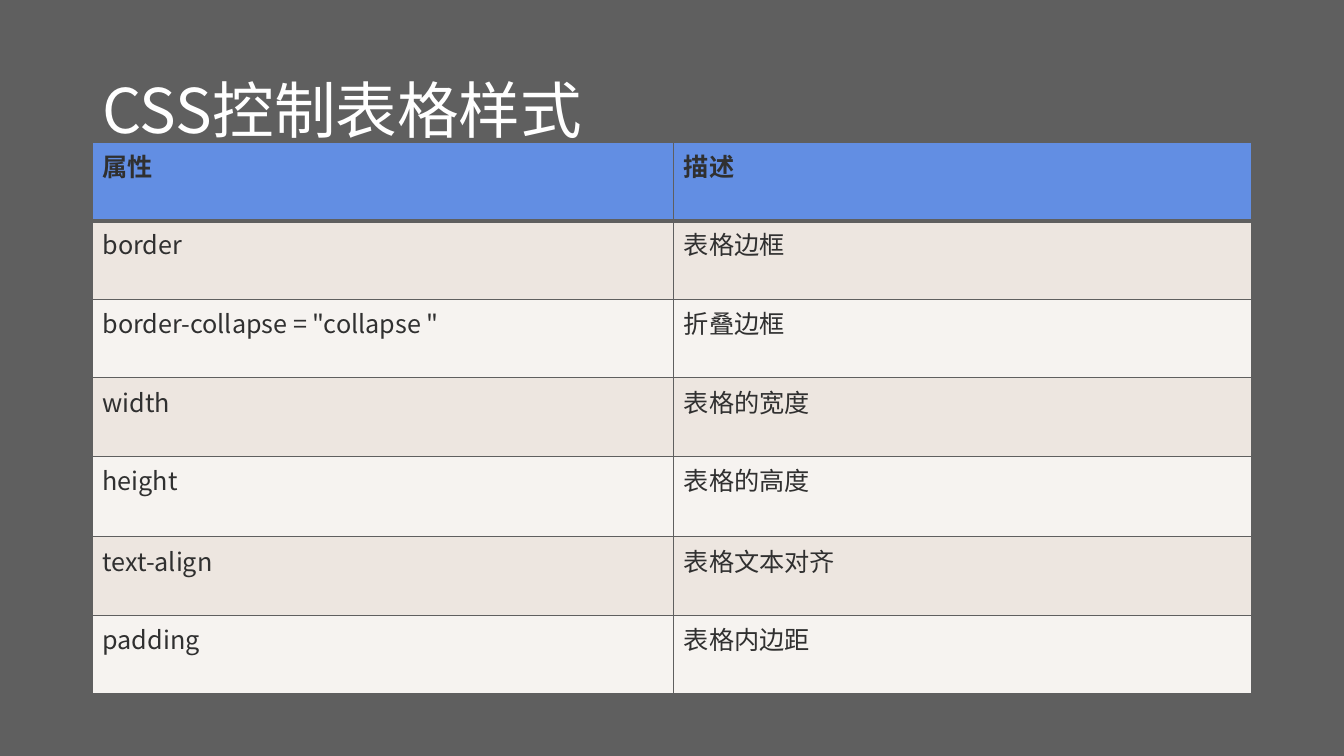
from lxml import etree
from pptx import Presentation
from pptx.dml.color import RGBColor
from pptx.enum.text import MSO_ANCHOR as Anchor
from pptx.oxml.ns import qn
from pptx.util import Cm, Pt

TITLE = "CSS控制表格样式"
ROWS = [
    ("属性", "描述"),
    ("border", "表格边框"),
    ('border-collapse = "collapse "', "折叠边框"),
    ("width", "表格的宽度"),
    ("height", "表格的高度"),
    ("text-align", "表格文本对齐"),
    ("padding", "表格内边距"),
]
FONT = "Noto Sans CJK SC"
GREY, WHITE, INK = "5F5F5F", "FFFFFF", "303030"
HEADER_FILL, BAND_FILLS = "628EE3", ("F6F3F0", "EDE6E0")
LEFT, WIDTH = Cm(2.33), Cm(29.21)
TABLE_TOP = Cm(3.58)
COLUMN_WIDTHS = (Cm(14.65), Cm(14.56))
ROW_HEIGHT, TALL_ROW, TALL_HEIGHT = Cm(1.98), 4, Cm(2.03)


def color(value):
    """Turn a hex string into a colour."""
    return RGBColor.from_string(value)


def write(frame, text, size=18, ink=INK, bold=False, line_spacing=None):
    """Put one formatted line of text into a text frame."""
    paragraph = frame.paragraphs[0]
    paragraph.line_spacing = line_spacing
    run = paragraph.add_run()
    run.text = text
    font = run.font
    font.size, font.bold, font.name = Pt(size), bold, FONT
    font.color.rgb = color(ink)
    etree.SubElement(run._r.get_or_add_rPr(), qn("a:ea"), typeface=FONT)


def set_borders(cell, **widths):
    """Draw the cell's sides, given as L, R, T, B widths in points."""
    properties = cell._tc.get_or_add_tcPr()
    for index, (side, width) in enumerate(widths.items()):
        line = etree.Element(qn(f"a:ln{side}"), w=str(Pt(width)))
        fill = etree.SubElement(line, qn("a:solidFill"))
        etree.SubElement(fill, qn("a:srgbClr"), val=GREY)
        properties.insert(index, line)


def add_title(slide):
    """Add the slide's heading."""
    box = slide.shapes.add_textbox(LEFT, Cm(1.02), WIDTH, Cm(3.68))
    frame = box.text_frame
    frame.word_wrap = True
    frame.vertical_anchor = Anchor.MIDDLE
    write(frame, TITLE, size=44, ink=WHITE, line_spacing=0.9)


def add_property_table(slide):
    """Add the banded table of properties and descriptions."""
    table = slide.shapes.add_table(
        len(ROWS), len(COLUMN_WIDTHS), LEFT, TABLE_TOP, WIDTH, ROW_HEIGHT * len(ROWS)
    ).table
    for column, width in zip(table.columns, COLUMN_WIDTHS):
        column.width = width
    for row_index, texts in enumerate(ROWS):
        is_header = row_index == 0
        table.rows[row_index].height = TALL_HEIGHT if row_index == TALL_ROW else ROW_HEIGHT
        for column_index, text in enumerate(texts):
            cell = table.cell(row_index, column_index)
            cell.fill.solid()
            cell.fill.fore_color.rgb = color(HEADER_FILL if is_header else BAND_FILLS[row_index % 2])
            write(cell.text_frame, text, bold=is_header)
            set_borders(cell, L=1, R=1, T=3 if row_index == 1 else 1, B=3 if is_header else 1)


presentation = Presentation()
presentation.slide_width, presentation.slide_height = Cm(33.87), Cm(19.05)
slide = presentation.slides.add_slide(presentation.slide_layouts[6])
slide.background.fill.solid()
slide.background.fill.fore_color.rgb = color(GREY)
add_title(slide)
add_property_table(slide)
presentation.save("out.pptx")
